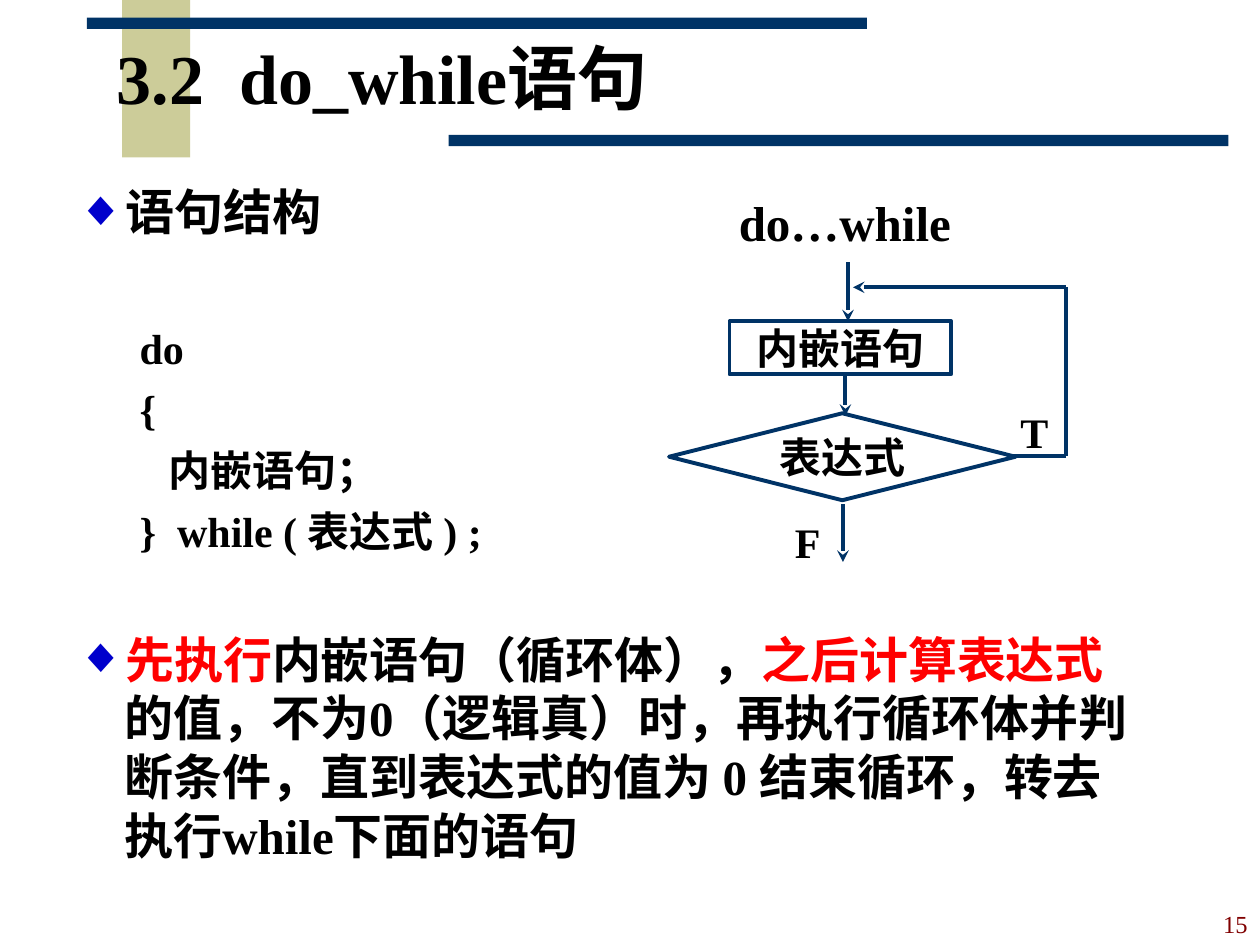
from lxml.etree import SubElement
from pptx import Presentation
from pptx.dml.color import RGBColor
from pptx.enum.shapes import MSO_CONNECTOR, MSO_SHAPE
from pptx.enum.text import MSO_ANCHOR, PP_ALIGN
from pptx.oxml.ns import qn
from pptx.util import Pt

PX = 9144
FONT = "Times New Roman"
COLORS = {
    "navy": "003366", "khaki": "CCCC99", "white": "FFFFFF", "black": "000000",
    "red": "FF0000", "maroon": "800000", "bullet": "0000CC",
}


def rgb(name):
    """Look up a palette colour."""
    return RGBColor.from_string(COLORS[name])


def add_runs(paragraph, runs, size, bold=True):
    """Append (wording, colour) runs to a paragraph."""
    for wording, color in runs:
        run = paragraph.add_run()
        run.text = wording
        run.font.name = FONT
        run.font.size = Pt(size)
        run.font.bold = bold
        run.font.color.rgb = rgb(color)


def add_block(slide, box, fill, kind=MSO_SHAPE.RECTANGLE, outline=None):
    """Add a flat filled shape, outlined on request."""
    block = slide.shapes.add_shape(kind, *(n * PX for n in box))
    block.shadow.inherit = False
    block.fill.solid()
    block.fill.fore_color.rgb = rgb(fill)
    if outline:
        block.line.color.rgb = rgb(outline)
        block.line.width = Pt(2.25)
    else:
        block.line.fill.background()
    return block


def add_label(slide, box, wording, size, align=PP_ALIGN.LEFT,
              anchor=MSO_ANCHOR.TOP, color="black", bold=True):
    """Add a one-line text box and return its paragraph."""
    frame = slide.shapes.add_textbox(*(n * PX for n in box)).text_frame
    frame.word_wrap = True
    frame.vertical_anchor = anchor
    line = frame.paragraphs[0]
    line.alignment = align
    add_runs(line, [(wording, color)], size, bold)
    return line


def add_flow(slide, start, end, arrow=True):
    """Draw a flow line between two points."""
    flow = slide.shapes.add_connector(
        MSO_CONNECTOR.STRAIGHT, *(n * PX for n in (*start, *end)))
    flow.line.color.rgb = rgb("navy")
    flow.line.width = Pt(2.25)
    properties = flow._element.spPr
    if arrow:
        SubElement(properties.get_or_add_ln(), qn("a:tailEnd"), type="stealth")
    SubElement(properties, qn("a:effectLst"))


def set_indent(paragraph, left, bulleted=False):
    """Indent a paragraph, hanging it behind a diamond bullet on request."""
    properties = paragraph._p.get_or_add_pPr()
    properties.set("marL", str(left * PX))
    properties.set("indent", str(-left * PX if bulleted else 0))
    if bulleted:
        tint = SubElement(properties, qn("a:buClr"))
        SubElement(tint, qn("a:srgbClr"), val=COLORS["bullet"])
        SubElement(properties, qn("a:buFont"), typeface=FONT)
        SubElement(properties, qn("a:buChar"), char="◆")


def build_header(slide, left, top):
    """Place the title with its accent block and two rules."""
    add_block(slide, (left + 28, top, 54, 125), "khaki")
    for rule_left, rule_top in ((0, 14), (287, 107)):
        add_block(slide, (left + rule_left, top + rule_top, 619, 9), "navy")
    title = add_label(slide, (left + 14, top + 29, 874, 74),
                      "3.2  do_while语句", 40, anchor=MSO_ANCHOR.MIDDLE)
    title.line_spacing = 0.85


def build_explanation(slide, box):
    """Write the statement structure and how it executes."""
    frame = slide.shapes.add_textbox(*(n * PX for n in box)).text_frame
    frame.word_wrap = True
    execution = [
        ("先执行", "red"),
        ("内嵌语句（循环体），", "black"),
        ("之后计算表达式", "red"),
        ("的值，不为0（逻辑真）时，再执行循环体并判断条件，"
         "直到表达式的值为 0 结束循环，转去执行while下面的语句", "black"),
    ]
    rows = [
        ([("语句结构", "black")], 28, 38, 7, True),
        ([("do", "black")], 24, 50, 47, False),
        ([("{", "black")], 24, 50, 6, False),
        ([("内嵌语句；", "black")], 24, 73, 6, False),
        ([("}  while ( 表达式 ) ;", "black")], 24, 50, 6, False),
        (execution, 28, 38, 42, True),
    ]
    for index, (runs, size, left, before, bulleted) in enumerate(rows):
        row = frame.add_paragraph() if index else frame.paragraphs[0]
        row.space_before = Pt(before)
        set_indent(row, left, bulleted)
        add_runs(row, runs, size)


def build_flowchart(slide, left, top):
    """Draw the do…while flowchart from its top-left corner."""
    def at(x, y, *size):
        """Shift a point or box to the flowchart's corner."""
        return (left + x, top + y, *size)

    heading = add_label(slide, at(32, 0, 215, 52), "do…while", 28, PP_ALIGN.CENTER)
    heading.line_spacing = 0.9
    heading.space_before = Pt(7)
    add_label(slide, at(90, 252, 37, 41), "F", 24)
    add_label(slide, at(269, 165, 46, 41), "T", 24)

    steps = (
        ("内嵌语句", MSO_SHAPE.RECTANGLE, at(48, 102, 176, 42)),
        ("表达式", MSO_SHAPE.FLOWCHART_DECISION, at(0, 175, 275, 69)),
    )
    for wording, kind, box in steps:
        frame = add_block(slide, box, "white", kind, "navy").text_frame
        frame.vertical_anchor = MSO_ANCHOR.MIDDLE
        frame.paragraphs[0].alignment = PP_ALIGN.CENTER
        add_runs(frame.paragraphs[0], [(wording, "black")], 24)

    flows = (
        ((140, 143), (140, 177), True),
        ((138, 247), (138, 293), True),
        ((315, 75), (315, 209), False),
        ((271, 209), (315, 209), False),
        ((142, 55), (142, 102), True),
        ((315, 75), (146, 75), True),
    )
    for start, end, arrow in flows:
        add_flow(slide, at(*start), at(*end), arrow)


def main():
    """Build the slide and save it."""
    deck = Presentation()
    deck.slide_width, deck.slide_height = 1000 * PX, 750 * PX
    slide = deck.slides.add_slide(deck.slide_layouts[6])
    build_header(slide, 69, 0)
    build_explanation(slide, (51, 139, 870, 575))
    build_flowchart(slide, 531, 153)
    add_label(slide, (663, 700, 337, 50), "15", 14, PP_ALIGN.RIGHT,
              MSO_ANCHOR.BOTTOM, "maroon", False)
    deck.save("out.pptx")


if __name__ == "__main__":
    main()
